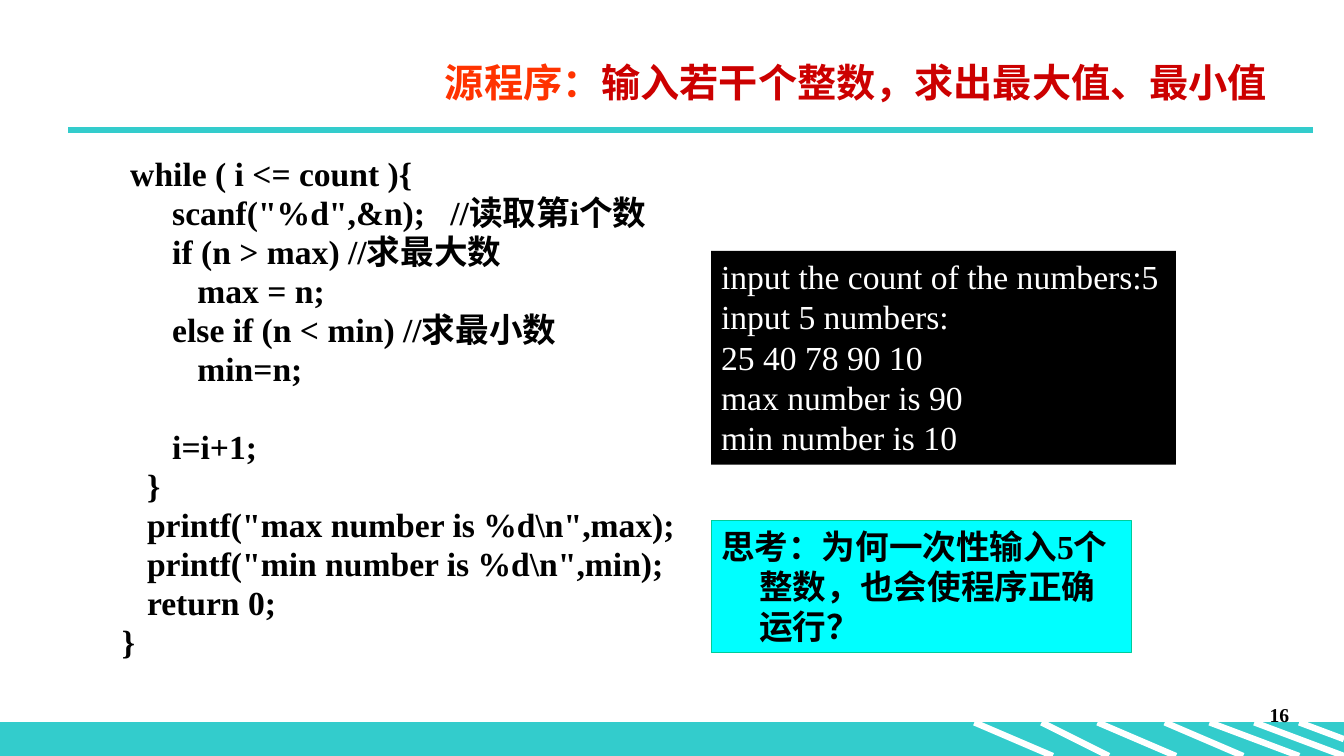
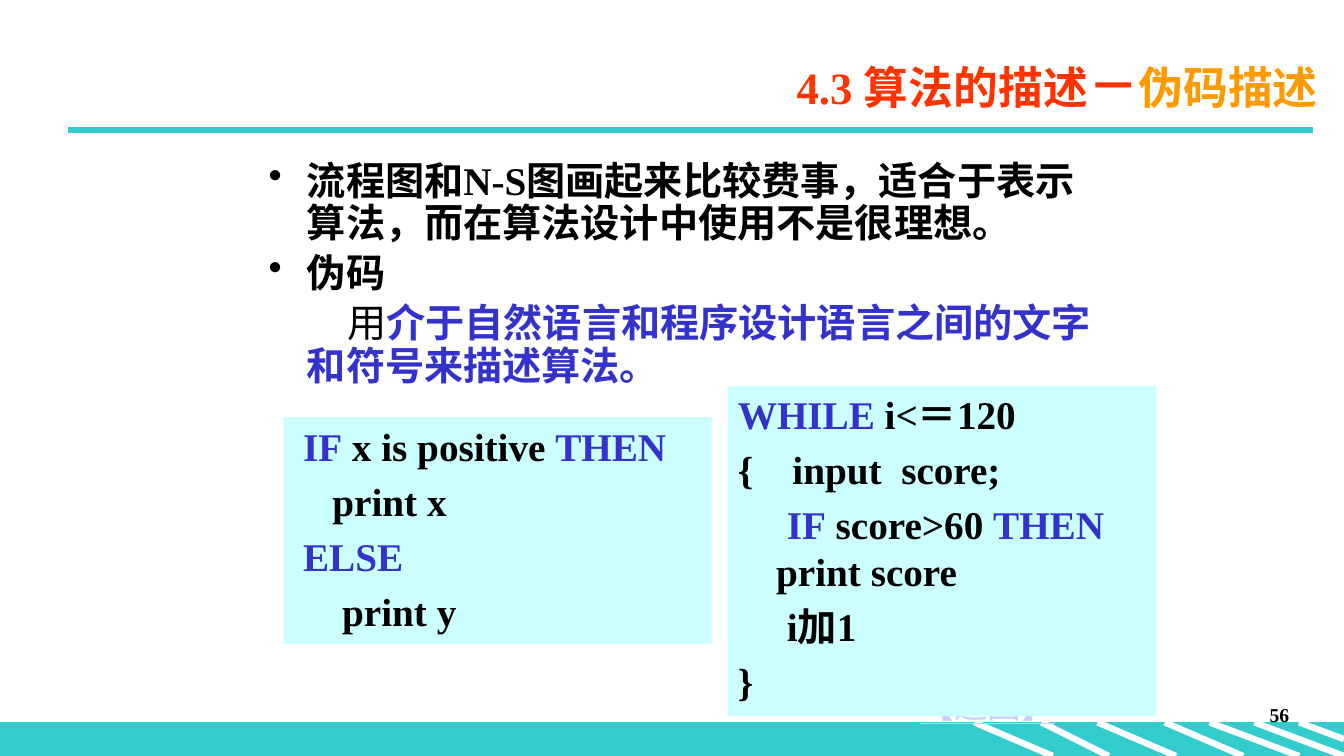
from dataclasses import dataclass

from lxml import etree
from pptx import Presentation
from pptx import util as u
from pptx.dml.color import RGBColor
from pptx.enum import shapes, text
from pptx.oxml import ns

# Grid: 120 columns by 67.5 rows of square cells
COLUMNS, ROWS = 120, 67.5
CELL = u.Inches(1) / 9
HANGING = u.Inches(0.38)


@dataclass(frozen=True)
class Theme:
    font: str = "Times New Roman"
    dash_font: str = "Noto Sans CJK SC"
    black: str = "000000"
    white: str = "FFFFFF"
    teal: str = "33CCCC"
    orange_red: str = "FF3300"
    dark_red: str = "CC0000"
    amber: str = "FF9900"
    blue: str = "3333CC"
    lilac: str = "CCCCFF"
    cyan: str = "00FFFF"
    green: str = "00CC99"
    pale_cyan: str = "CCFFFF"
    number_size: int = 14
    code_size: int = 24
    body_size: int = 28
    heading_size: int = 32
    dash_size: int = 36
    rule_width: float = 4.5


THEME = Theme()


@dataclass(frozen=True)
class Style:
    size: float = THEME.code_size
    color: str = THEME.black
    bold: bool = True
    align: text.PP_ALIGN = text.PP_ALIGN.LEFT
    anchor: text.MSO_ANCHOR = text.MSO_ANCHOR.TOP
    line_spacing: float = 1.0
    space_before: float = 0
    margin: int = 0
    indent: int = 0
    bullet: str = ""


@dataclass(frozen=True)
class Run:
    text: str
    color: str = ""
    size: float = 0
    font: str = ""
    bold: bool | None = None
    underline: bool | None = None


def cells(*lengths):
    return [u.Emu(round(length * CELL)) for length in lengths]


def rgb(color):
    return RGBColor.from_string(color)


# Text
def add_run(paragraph, item):
    run = paragraph.add_run()
    run.text = item.text
    if item.color:
        run.font.color.rgb = rgb(item.color)
    if item.size:
        run.font.size = u.Pt(item.size)
    if item.font:
        run.font.name = item.font
    run.font.bold = item.bold
    run.font.underline = item.underline


def format_paragraph(paragraph, style, first):
    paragraph.alignment = style.align
    paragraph.line_spacing = style.line_spacing
    paragraph.space_before = u.Pt(0 if first else style.space_before)
    properties = paragraph._p.get_or_add_pPr()
    properties.set("marL", str(style.margin))
    properties.set("indent", str(style.indent))
    if style.bullet:
        bullet = etree.SubElement(properties, ns.qn("a:buChar"))
        bullet.set("char", style.bullet)
    else:
        etree.SubElement(properties, ns.qn("a:buNone"))
    font = paragraph.font
    font.name, font.size, font.bold = THEME.font, u.Pt(style.size), style.bold
    font.color.rgb = rgb(style.color)


def write(shape, paragraphs):
    """Fill a shape with (style, runs) pairs, one for each paragraph."""
    frame = shape.text_frame
    frame.word_wrap = True
    frame.vertical_anchor = paragraphs[0][0].anchor
    for index, (style, runs) in enumerate(paragraphs):
        paragraph = frame.add_paragraph() if index else frame.paragraphs[0]
        format_paragraph(paragraph, style, first=index == 0)
        for item in runs:
            add_run(paragraph, item)


def same_style(style, lines):
    return [(style, [Run(line)]) for line in lines]


def highlighted(style, lines):
    """Colour the keywords, which stand between bars."""
    return [(style, [Run(part, THEME.blue if index % 2 else "")
                     for index, part in enumerate(line.split("|")) if part])
            for line in lines]


# Elements
def add_text(slide, box, paragraphs):
    write(slide.shapes.add_textbox(*cells(*box)), paragraphs)


def add_panel(slide, box, fill, paragraphs=(), line=None):
    panel = slide.shapes.add_shape(shapes.MSO_SHAPE.RECTANGLE, *cells(*box))
    panel.shadow.inherit = False
    panel.fill.solid()
    panel.fill.fore_color.rgb = rgb(fill)
    if line:
        panel.line.color.rgb = rgb(line)
        panel.line.width = u.Pt(0.75)
    else:
        panel.line.fill.background()
    if paragraphs:
        write(panel, paragraphs)


def add_rule(slide, start, end, color):
    rule = slide.shapes.add_connector(
        shapes.MSO_CONNECTOR.STRAIGHT, *cells(*start, *end))
    rule.line.color.rgb = rgb(color)
    rule.line.width = u.Pt(THEME.rule_width)
    etree.SubElement(rule._element.spPr, ns.qn("a:effectLst"))


# Shared frame: footer band with stripes, header rule, page number, title
BAND_TOP = 64.5
STRIPES = [(87, 94, ROWS), (93, 99, ROWS), (98, 105, ROWS), (104, 111, ROWS),
           (108, 116, ROWS), (112, 120, ROWS), (116, 120, 66)]
NUMBER = Style(THEME.number_size, align=text.PP_ALIGN.RIGHT)
TITLE = Style(color=THEME.orange_red, align=text.PP_ALIGN.RIGHT,
              anchor=text.MSO_ANCHOR.MIDDLE)


def add_framed_slide(presentation, number, title_box, title_runs):
    slide = presentation.slides.add_slide(presentation.slide_layouts[6])
    add_panel(slide, (0, BAND_TOP, COLUMNS, ROWS - BAND_TOP), THEME.teal,
              line=THEME.teal)
    for left, right, bottom in STRIPES:
        add_rule(slide, (left, BAND_TOP), (right, bottom), THEME.white)
    add_rule(slide, (6.1, 11.6), (117.2, 11.6), THEME.teal)
    add_text(slide, (91, 62.3, 25, 4.5), [(NUMBER, [Run(number)])])
    add_text(slide, title_box, [(TITLE, title_runs)])
    return slide


# Slide contents
CODE = Style(line_spacing=0.8, space_before=4.8,
             margin=HANGING, indent=-HANGING)
AFTER_GAP = Style(line_spacing=0.8, space_before=32.6,
                  margin=HANGING, indent=-HANGING)
CONSOLE = Style(color=THEME.white, bold=False, margin=HANGING, indent=-HANGING)
QUESTION = Style(margin=HANGING, indent=-HANGING)
BULLET = Style(THEME.body_size, line_spacing=0.9, space_before=5.6,
               margin=HANGING, indent=-HANGING, bullet="•")
DEFINITION = Style(THEME.body_size, THEME.blue, line_spacing=0.9,
                   space_before=5.6, margin=HANGING, indent=u.Inches(0.4))
PSEUDOCODE = Style(THEME.body_size, space_before=5.6,
                   margin=HANGING, indent=-HANGING)
LINK = Style(color=THEME.lilac, bold=False)

LOOP = [
    " while ( i <= count ){",
    '      scanf("%d",&n);   //读取第i个数',
    "      if (n > max) //求最大数",
    "         max = n;",
    "      else if (n < min) //求最小数",
    "         min=n;",
]
ENDING = [
    "   }",
    '   printf("max number is %d\\n",max);',
    '   printf("min number is %d\\n",min);',
    "   return 0;",
    "}",
]
OUTPUT = [
    "input the count of the numbers:5",
    "input 5 numbers:",
    "25 40 78 90 10",
    "max number is 90",
    "min number is 10",
]
BRANCH = [" |IF| x is positive |THEN", "    print x", " |ELSE", "     print y"]
WHILE_LOOP = [
    "|WHILE| i<＝120",
    "{    input  score;",
    "     |IF| score>60 |THEN| print score",
    "     i加1",
    "}",
]


def add_program_slide(presentation):
    size = THEME.body_size
    slide = add_framed_slide(presentation, "16", (32.5, 3.75, 81.5, 7.1), [
        Run("源程序：", size=size),
        Run("输入若干个整数，求出最大值、最小值", THEME.dark_red, size)])
    add_text(slide, (10, 13.95, 76.5, 48.25),
             same_style(CODE, LOOP) + same_style(AFTER_GAP, ["      i=i+1;"])
             + same_style(CODE, ENDING))
    add_panel(slide, (63.5, 22.4, 41.5, 19.1), THEME.black,
              same_style(CONSOLE, OUTPUT))
    add_panel(slide, (63.5, 46.5, 37.5, 11.8), THEME.cyan, same_style(
        QUESTION, ["思考：为何一次性输入5个整数，也会使程序正确运行？"]),
        line=THEME.green)


def add_pseudocode_slide(presentation):
    size = THEME.heading_size
    slide = add_framed_slide(presentation, "56", (16.55, 3.95, 102, 7.1), [
        Run("4.3 算法的描述", size=size),
        Run("－", size=THEME.dash_size, font=THEME.dash_font),
        Run("伪码描述", THEME.amber, size)])
    bullets = same_style(BULLET, [
        "流程图和N-S图画起来比较费事，适合于表示算法，而在算法设计中使用不是很理想。",
        "伪码"])
    definition = (DEFINITION, [
        Run("用", THEME.black, bold=False),
        Run("介于自然语言和程序设计语言之间的文字和符号来描述算法。")])
    add_text(slide, (23.1, 13.95, 76.5, 45), bullets + [definition])
    add_text(slide, (81.3, 60.7, 19.8, 4.5),
             [(LINK, [Run("【返回】", underline=True)])])
    add_panel(slide, (25.3, 37.25, 38.25, 20.25), THEME.pale_cyan,
              highlighted(PSEUDOCODE, BRANCH))
    add_panel(slide, (65, 34.45, 38.25, 29.5), THEME.pale_cyan,
              highlighted(PSEUDOCODE, WHILE_LOOP))


def main():
    presentation = Presentation()
    presentation.slide_width, presentation.slide_height = cells(COLUMNS, ROWS)
    add_program_slide(presentation)
    add_pseudocode_slide(presentation)
    presentation.save("out.pptx")


if __name__ == "__main__":
    main()
